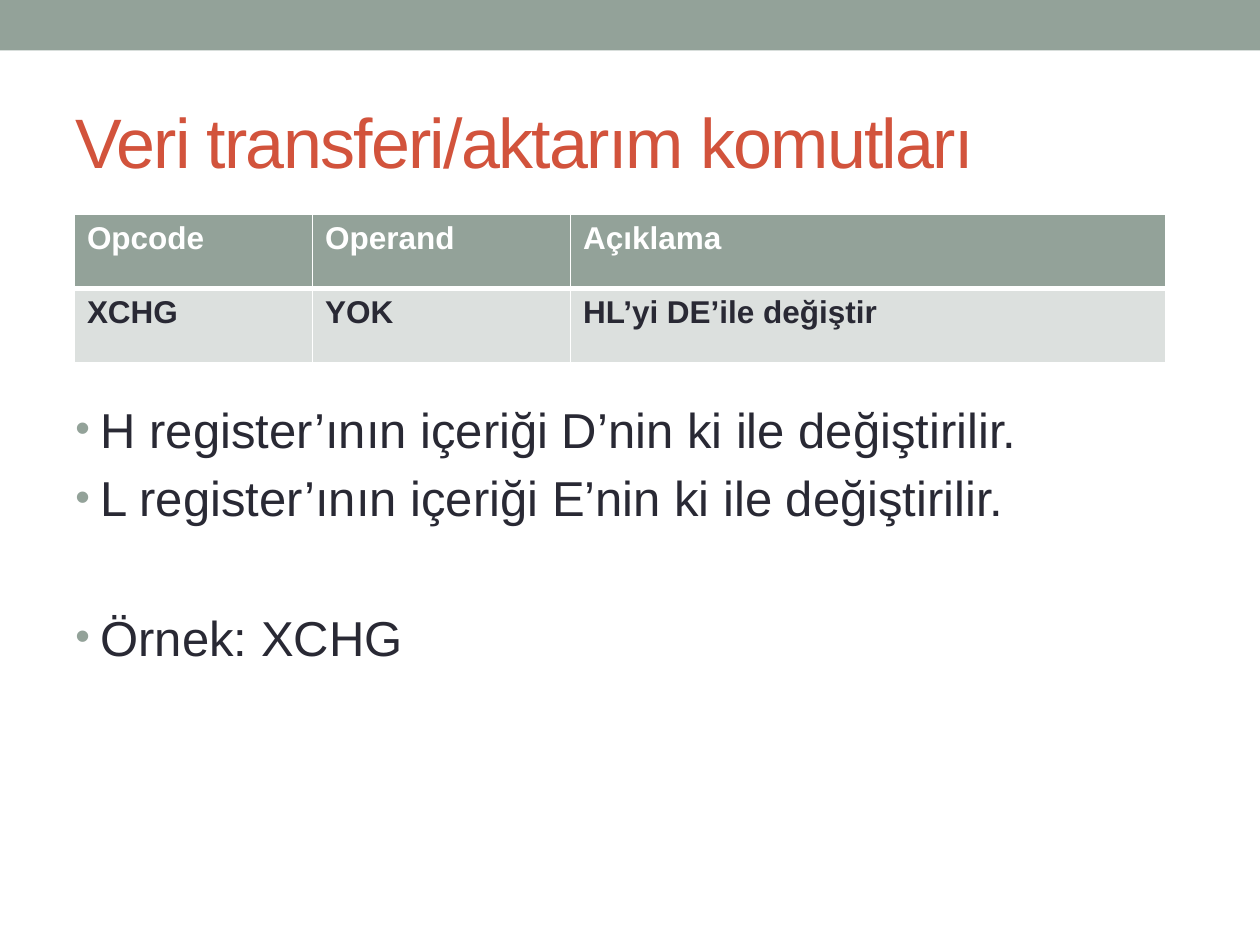
"""Builds the slide on the XCHG data transfer instruction."""
from dataclasses import dataclass

from lxml import etree
from pptx import Presentation, util as u
from pptx.dml.color import RGBColor
from pptx.enum import shapes, text
from pptx.oxml.ns import qn


@dataclass(frozen=True)
class Theme:
    font: str = "Arial"
    accent: str = "93A299"
    heading: str = "D2533C"
    ink: str = "292934"
    paper: str = "FFFFFF"
    band: str = "DCE0DE"
    title_size: int = 40
    body_size: int = 28
    table_size: int = 18


class SlideBuilder:
    def __init__(self, slide, theme):
        self.slide = slide
        self.theme = theme

    def style(self, paragraph, size, color, bold=False):
        for run in paragraph.runs:
            run.font.name = self.theme.font
            run.font.size = u.Pt(size)
            run.font.bold = bold
            run.font.color.rgb = RGBColor.from_string(color)

    def add_xml(self, parent, tag, **attributes):
        return etree.SubElement(parent, qn(tag), attributes)

    def band(self, left, top, width, height):
        bar = self.slide.shapes.add_shape(
            shapes.MSO_SHAPE.RECTANGLE, u.Cm(left), u.Cm(top), u.Cm(width), u.Cm(height))
        bar.shadow.inherit = False
        bar.fill.solid()
        bar.fill.fore_color.rgb = RGBColor.from_string(self.theme.accent)
        bar.line.fill.background()

    def text_frame(self, left, top, width, height):
        frame = self.slide.shapes.add_textbox(
            u.Cm(left), u.Cm(top), u.Cm(width), u.Cm(height)).text_frame
        frame.word_wrap = True
        return frame

    def title(self, wording, *box):
        frame = self.text_frame(*box)
        frame.vertical_anchor = text.MSO_ANCHOR.MIDDLE
        frame.text = wording
        heading = frame.paragraphs[0]
        self.style(heading, self.theme.title_size, self.theme.heading)
        heading.runs[0].font._element.set("spc", "-100")

    def bullets(self, points, *box):
        frame = self.text_frame(*box)
        frame.text = "\n".join(wording for wording, _ in points)
        for point, (_, gap) in zip(frame.paragraphs, points):
            point.alignment = text.PP_ALIGN.JUSTIFY
            self.style(point, self.theme.body_size, self.theme.ink)
            properties = point._p.get_or_add_pPr()
            properties.set("marL", str(u.Cm(0.51)))
            properties.set("indent", str(u.Cm(-0.51)))
            if gap:
                point.space_before = u.Pt(gap)
            else:
                spacing = self.add_xml(properties, "a:spcBef")
                self.add_xml(spacing, "a:spcPct", val="20000")
            color = self.add_xml(properties, "a:buClr")
            self.add_xml(color, "a:srgbClr", val=self.theme.accent)
            self.add_xml(properties, "a:buSzPct", val="85000")
            self.add_xml(properties, "a:buFont", typeface=self.theme.font)
            self.add_xml(properties, "a:buChar", char="•")

    def borders(self, cell, **widths):
        properties = cell._tc.get_or_add_tcPr()
        for position, (side, width) in enumerate(widths.items()):
            line = etree.Element(qn(f"a:ln{side}"), w=str(u.Pt(width)))
            fill = self.add_xml(line, "a:solidFill")
            self.add_xml(fill, "a:srgbClr", val=self.theme.paper)
            properties.insert(position, line)

    def table(self, rows, left, top, column_widths, row_height):
        grid = self.slide.shapes.add_table(
            len(rows), len(column_widths), u.Cm(left), u.Cm(top),
            u.Cm(sum(column_widths)), u.Cm(row_height * len(rows))).table
        for column, width in zip(grid.columns, column_widths):
            column.width = u.Cm(width)
        looks = [(self.theme.accent, self.theme.paper, 3), (self.theme.band, self.theme.ink, 1)]
        rules = [(1, 3), (3, 1)]
        for row, entries, (fill, ink, _), (above, below) in zip(grid.rows, rows, looks, rules):
            row.height = u.Cm(row_height)
            for cell, entry in zip(row.cells, entries):
                cell.text_frame.text = entry
                self.style(cell.text_frame.paragraphs[0], self.theme.table_size, ink, True)
                cell.fill.solid()
                cell.fill.fore_color.rgb = RGBColor.from_string(fill)
                self.borders(cell, L=1, R=1, T=above, B=below)


def main():
    deck = Presentation()
    deck.slide_width, deck.slide_height = u.Cm(25.4), u.Cm(19.05)
    page = SlideBuilder(deck.slides.add_slide(deck.slide_layouts[6]), Theme())
    page.band(0, 0, 25.4, 1.02)
    page.title("Veri transferi/aktarım komutları", 1.27, 1.47, 22.86, 2.74)
    page.bullets([
        ("H register’ının içeriği D’nin ki ile değiştirilir.", None),
        ("L register’ının içeriği E’nin ki ile değiştirilir.", None),
        ("Örnek: XCHG", 46),
    ], 1.27, 7.92, 22.86, 10.06)
    page.table([
        ("Opcode", "Operand", "Açıklama"),
        ("XCHG", "YOK", "HL’yi DE’ile değiştir"),
    ], 1.5, 4.32, (4.8, 5.2, 12), 1.5)
    deck.save("out.pptx")


if __name__ == "__main__":
    main()
